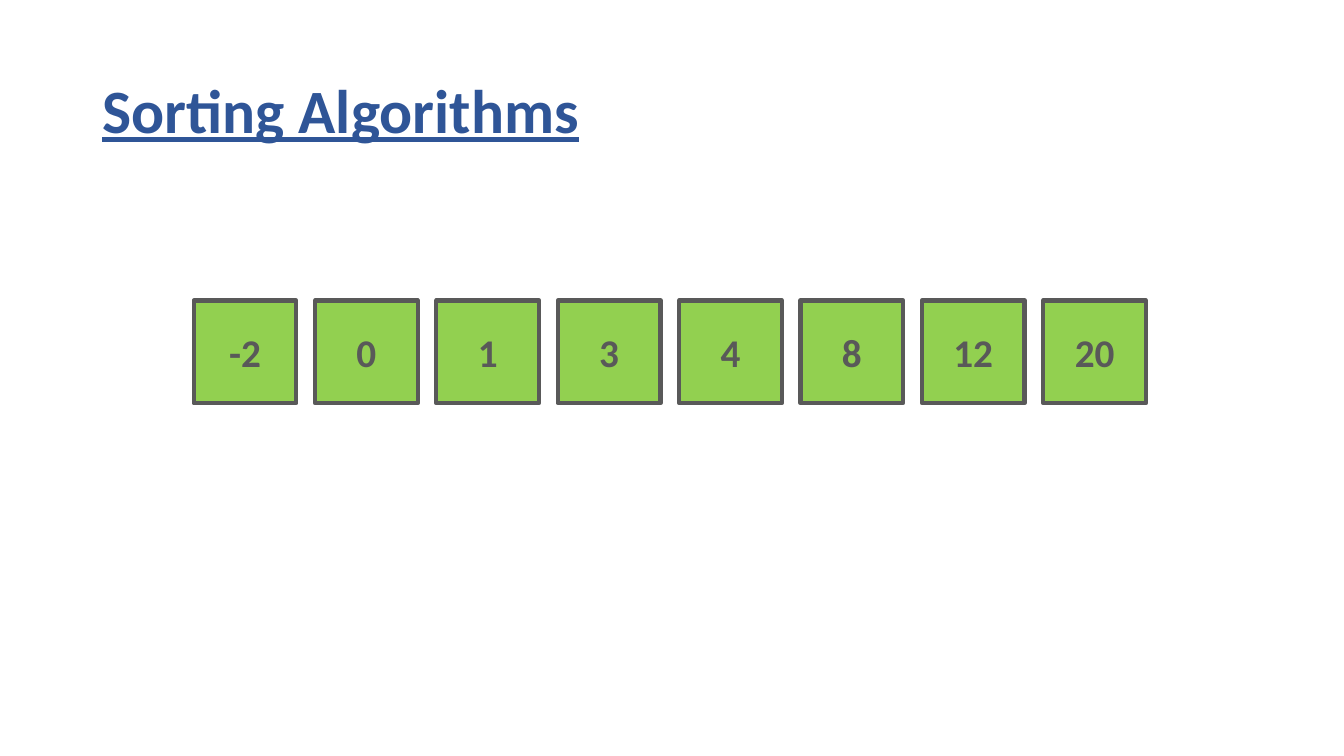
"""Build a slide showing a sorted row of numbers."""
import pptx
import pptx.dml.color
import pptx.enum.shapes
import pptx.enum.text
import pptx.util

Pt = pptx.util.Pt
TITLE_BLUE = pptx.dml.color.RGBColor(0x2F, 0x55, 0x97)
SORTED_GREEN = pptx.dml.color.RGBColor(0x92, 0xD0, 0x50)
DARK_GREY = pptx.dml.color.RGBColor(0x59, 0x59, 0x59)

SORTED_NUMBERS = [-2, 0, 1, 3, 4, 8, 12, 20]
ROW_LEFT = 138.3
ROW_TOP = 214.6
CELL_SIZE = 73.4
CELL_PITCH = 86.7


def set_text(frame, words, size, color, alignment):
    frame.text = words
    frame.word_wrap = True
    frame.auto_size = pptx.enum.text.MSO_AUTO_SIZE.NONE
    frame.vertical_anchor = pptx.enum.text.MSO_ANCHOR.MIDDLE
    paragraph = frame.paragraphs[0]
    paragraph.alignment = alignment
    font = paragraph.runs[0].font
    font.name = "Calibri"
    font.size = Pt(size)
    font.bold = True
    font.color.rgb = color
    return paragraph


def add_title(slide, words):
    title = slide.shapes.title
    title.left, title.top = Pt(66), Pt(28.8)
    title.width, title.height = Pt(828), Pt(104.4)
    heading = set_text(title.text_frame, words, 44, TITLE_BLUE,
                       pptx.enum.text.PP_ALIGN.LEFT)
    heading.line_spacing = 0.9
    heading.runs[0].font.underline = True


def add_number_cell(slide, number, left):
    cell = slide.shapes.add_shape(
        pptx.enum.shapes.MSO_SHAPE.RECTANGLE,
        Pt(left), Pt(ROW_TOP), Pt(CELL_SIZE), Pt(CELL_SIZE))
    cell.shadow.inherit = False
    cell.fill.solid()
    cell.fill.fore_color.rgb = SORTED_GREEN
    cell.line.color.rgb = DARK_GREY
    cell.line.width = Pt(3)
    set_text(cell.text_frame, str(number), 28, DARK_GREY,
             pptx.enum.text.PP_ALIGN.CENTER)


def main():
    deck = pptx.Presentation()
    deck.slide_width, deck.slide_height = Pt(960), Pt(540)
    slide = deck.slides.add_slide(deck.slide_layouts.get_by_name("Title Only"))
    add_title(slide, "Sorting Algorithms")
    for position, number in enumerate(SORTED_NUMBERS):
        add_number_cell(slide, number, ROW_LEFT + position * CELL_PITCH)
    deck.save("out.pptx")


if __name__ == "__main__":
    main()
